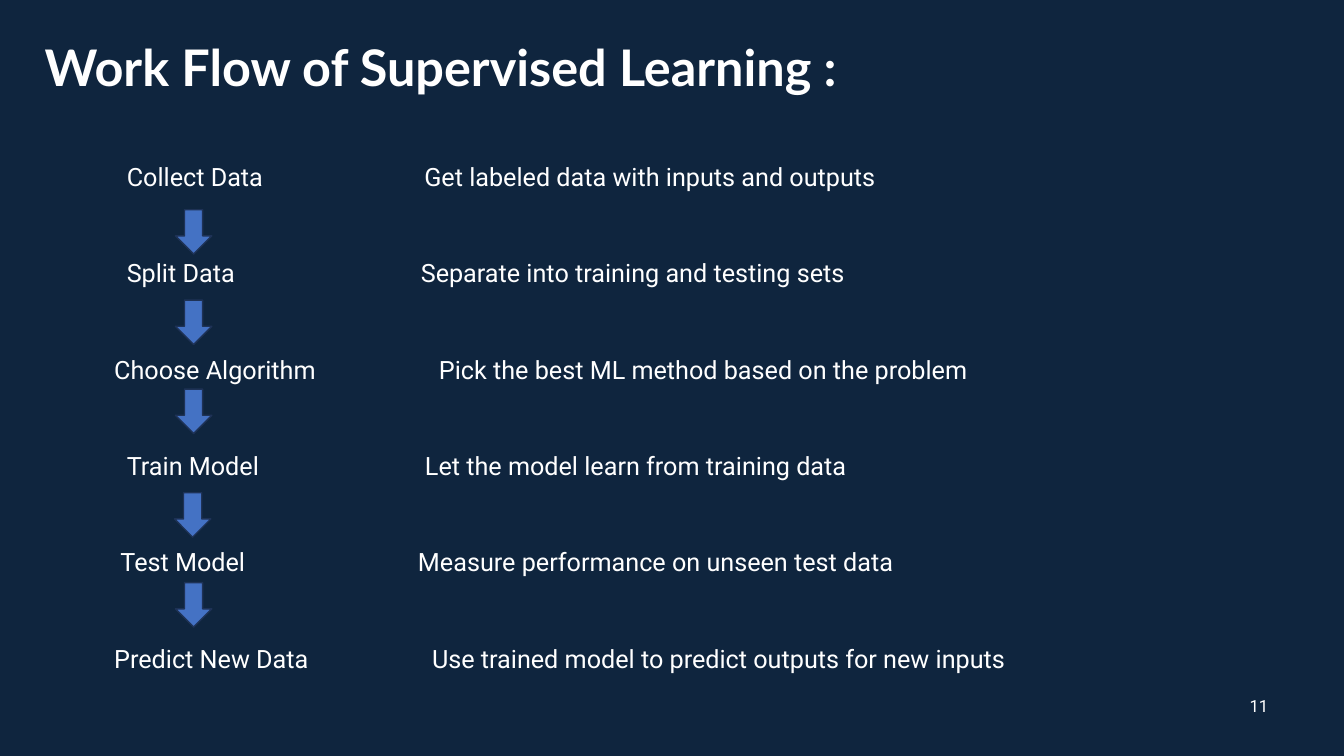
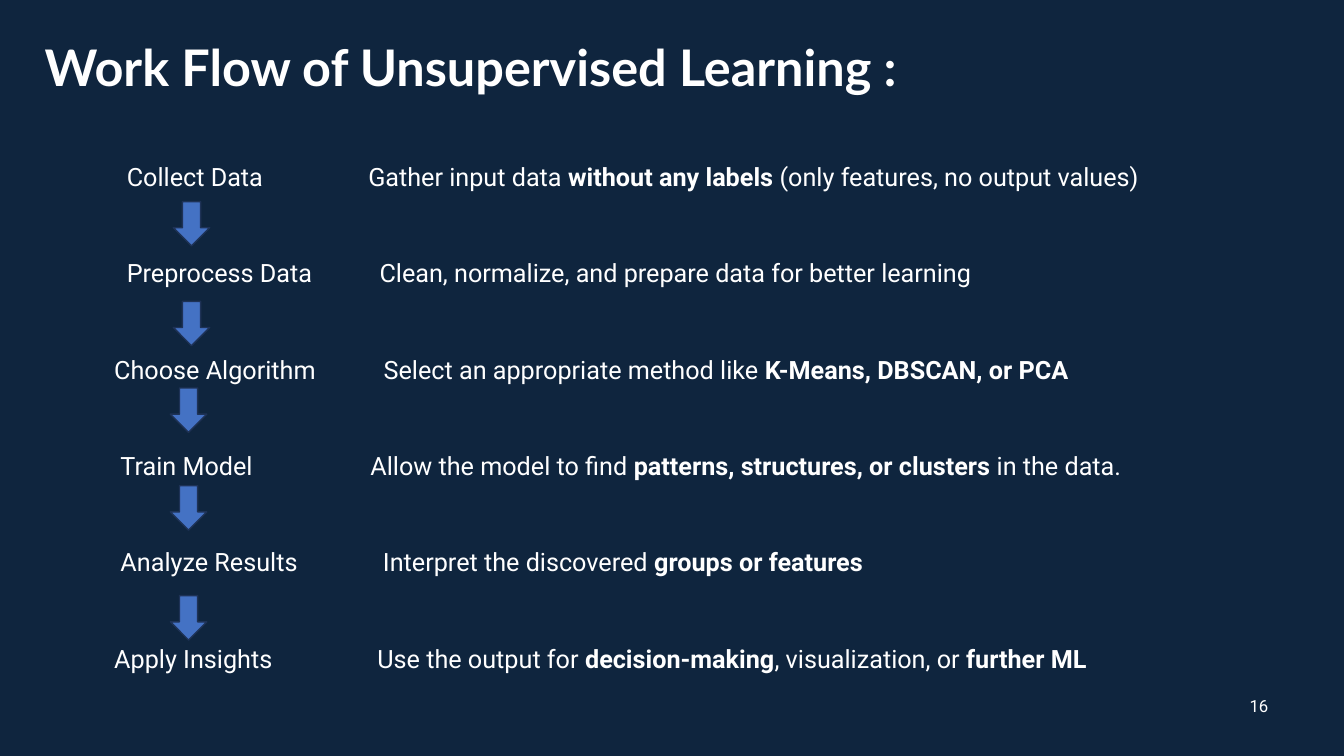
from dataclasses import dataclass

from pptx import Presentation
from pptx.dml.color import RGBColor
from pptx.enum.shapes import MSO_SHAPE
from pptx.enum.text import MSO_ANCHOR, PP_ALIGN
from pptx.slide import Slide
from pptx.text.text import TextFrame, _Run
from pptx.util import Pt

NAVY = RGBColor(0x0F, 0x25, 0x3E)
WHITE = RGBColor(0xFF, 0xFF, 0xFF)
ARROW_BLUE = RGBColor(0x44, 0x72, 0xC4)
ARROW_EDGE = RGBColor(0x1E, 0x32, 0x56)

TITLE_FONT = "Lato"
BODY_FONT = "Roboto"
BOLD_MARK = "**"
COLUMN_TOP = 111.7
COLUMN_HEIGHT = 377
STEP_GAP = 47.2
ARROW_WIDTH = 26
ARROW_HEIGHT = 31.7


@dataclass(frozen=True)
class Entry:
    text: str
    indent: float


@dataclass(frozen=True)
class Arrow:
    left: float
    top: float


@dataclass(frozen=True)
class Workflow:
    title: str
    number: int
    labels: tuple[Entry, ...]
    descriptions: tuple[Entry, ...]
    arrows: tuple[Arrow, ...]


WORKFLOWS = (
    Workflow(
        "Work Flow of Supervised Learning :",
        11,
        (
            Entry("Collect Data", 18),
            Entry("Split Data", 18),
            Entry("Choose Algorithm", 9),
            Entry("Train Model", 18),
            Entry("Test Model", 13.5),
            Entry("Predict New Data", 9),
        ),
        (
            Entry("Get labeled data with inputs and outputs", 46),
            Entry("Separate into training and testing sets", 43.5),
            Entry("Pick the best ML method based on the problem", 56.5),
            Entry("Let the model learn from training data", 46.5),
            Entry("Measure performance on unseen test data", 41.5),
            Entry("Use trained model to predict outputs for new inputs", 51.5),
        ),
        (
            Arrow(125.3, 149.8),
            Arrow(125.3, 214.4),
            Arrow(125.3, 278),
            Arrow(124.6, 352),
            Arrow(125.3, 416.2),
        ),
    ),
    Workflow(
        "Work Flow of Unsupervised Learning :",
        16,
        (
            Entry("Collect Data", 18),
            Entry("Preprocess Data", 18),
            Entry("Choose Algorithm", 9),
            Entry("Train Model", 13.5),
            Entry("Analyze Results", 13.5),
            Entry("Apply Insights", 9),
        ),
        (
            Entry("Gather input data **without any labels** (only features, no output values)", 6),
            Entry("Clean, normalize, and prepare data for better learning", 14),
            Entry("Select an appropriate method like **K-Means, DBSCAN, or PCA**", 17),
            Entry("Allow the model to find **patterns, structures, or clusters** in the data.", 7.5),
            Entry("Interpret the discovered **groups or features**", 16.5),
            Entry("Use the output for **decision-making**, visualization, or **further ML**", 12.5),
        ),
        (
            Arrow(123.8, 144),
            Arrow(123.8, 215.3),
            Arrow(121.7, 277.2),
            Arrow(121.7, 347),
            Arrow(121.7, 425.5),
        ),
    ),
)


def add_text_frame(
    slide: Slide, left: float, top: float, width: float, height: float
) -> TextFrame:
    text_box = slide.shapes.add_textbox(Pt(left), Pt(top), Pt(width), Pt(height))
    text_box.text_frame.word_wrap = True
    return text_box.text_frame


def format_run(run: _Run, font_name: str, size: float, bold: bool = False) -> None:
    run.font.name = font_name
    run.font.size = Pt(size)
    run.font.bold = bold
    run.font.color.rgb = WHITE


def add_title(slide: Slide, title: str) -> None:
    text_frame = add_text_frame(slide, 24.8, 27.4, 721.4, 50.4)
    text_frame.text = title
    paragraph = text_frame.paragraphs[0]
    paragraph.line_spacing = 0.9
    format_run(paragraph.runs[0], TITLE_FONT, 36, bold=True)


def add_column(
    slide: Slide, entries: tuple[Entry, ...], left: float, width: float
) -> None:
    text_frame = add_text_frame(slide, left, COLUMN_TOP, width, COLUMN_HEIGHT)
    for index, entry in enumerate(entries):
        paragraph = text_frame.add_paragraph() if index else text_frame.paragraphs[0]
        properties = paragraph._p.get_or_add_pPr()
        properties.set("marL", str(Pt(entry.indent)))
        properties.set("indent", "0")
        if index:
            paragraph.space_before = Pt(STEP_GAP)
        for position, piece in enumerate(entry.text.split(BOLD_MARK)):
            if piece:
                run = paragraph.add_run()
                run.text = piece
                format_run(run, BODY_FONT, 18, bold=position % 2 == 1)


def add_slide_number(slide: Slide, number: int) -> None:
    text_frame = add_text_frame(slide, 881.3, 489.6, 36, 28.8)
    text_frame.vertical_anchor = MSO_ANCHOR.MIDDLE
    text_frame.text = str(number)
    paragraph = text_frame.paragraphs[0]
    paragraph.alignment = PP_ALIGN.CENTER
    format_run(paragraph.runs[0], BODY_FONT, 12)


def add_arrow(slide: Slide, arrow: Arrow) -> None:
    shape = slide.shapes.add_shape(
        MSO_SHAPE.DOWN_ARROW,
        Pt(arrow.left),
        Pt(arrow.top),
        Pt(ARROW_WIDTH),
        Pt(ARROW_HEIGHT),
    )
    shape.shadow.inherit = False
    shape.fill.solid()
    shape.fill.fore_color.rgb = ARROW_BLUE
    shape.line.color.rgb = ARROW_EDGE
    shape.line.width = Pt(1)


def add_workflow_slide(presentation: Presentation, workflow: Workflow) -> None:
    slide = presentation.slides.add_slide(presentation.slide_layouts[6])
    slide.background.fill.solid()
    slide.background.fill.fore_color.rgb = NAVY
    add_title(slide, workflow.title)
    add_column(slide, workflow.labels, left=65.5, width=180)
    add_column(slide, workflow.descriptions, left=250, width=600)
    add_slide_number(slide, workflow.number)
    for arrow in workflow.arrows:
        add_arrow(slide, arrow)


def main() -> None:
    presentation = Presentation()
    presentation.slide_width = Pt(960)
    presentation.slide_height = Pt(540)
    for workflow in WORKFLOWS:
        add_workflow_slide(presentation, workflow)
    presentation.save("out.pptx")


if __name__ == "__main__":
    main()
